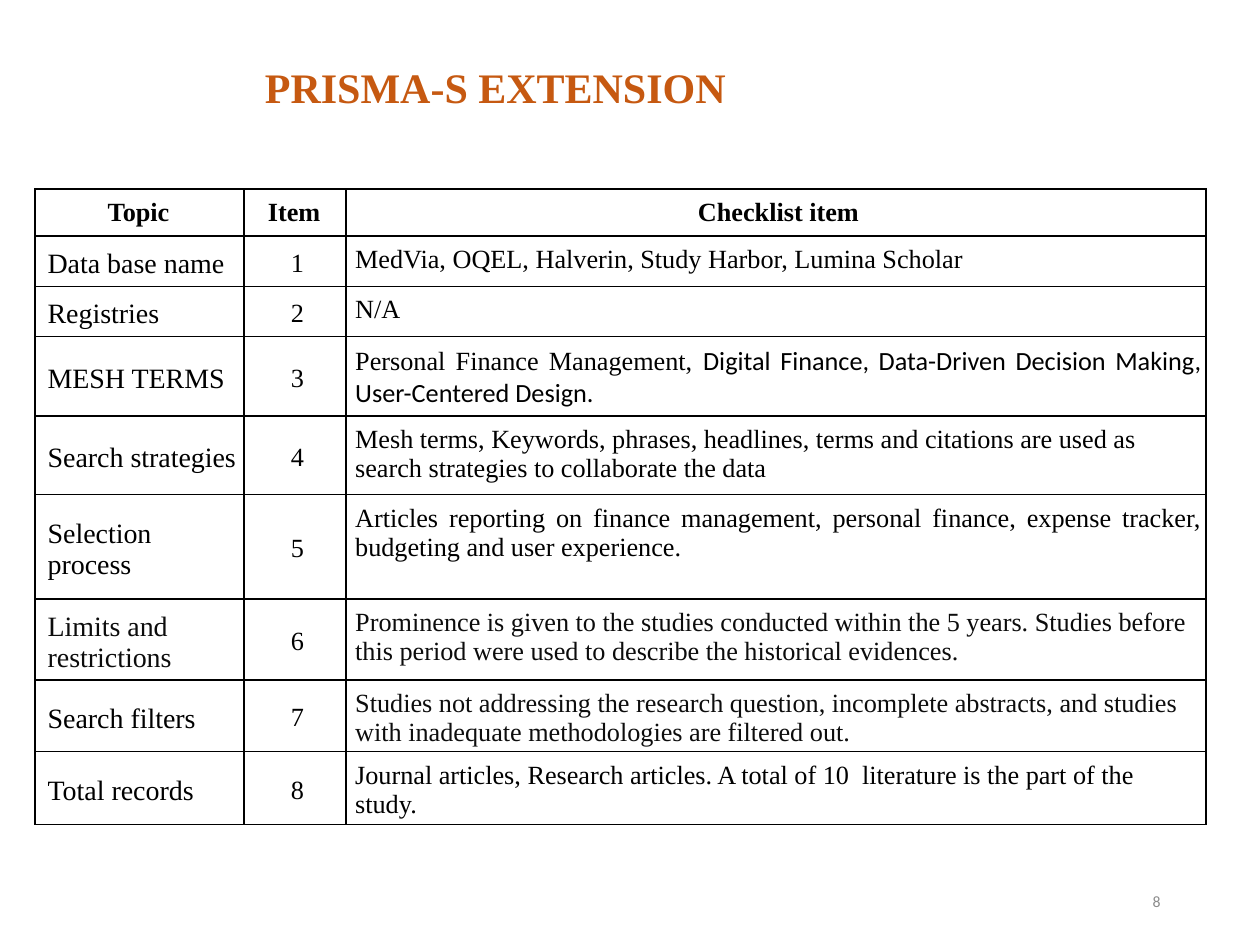
from dataclasses import dataclass

import lxml.etree
import pptx
import pptx.dml.color
import pptx.enum.text
import pptx.oxml.ns
import pptx.util

Pt = pptx.util.Pt
Align = pptx.enum.text.PP_ALIGN
Anchor = pptx.enum.text.MSO_ANCHOR
qn = pptx.oxml.ns.qn


@dataclass(frozen=True)
class Theme:
    serif: str = "Times New Roman"
    sans: str = "Calibri"
    title: str = "C65911"
    ink: str = "000000"
    soft: str = "0C0C0C"
    dim: str = "0D0D0D"
    gray: str = "8C8C8C"
    title_size: float = 24
    topic_size: float = 16
    text_size: float = 15
    page_size: float = 9
    rule: float = 1


THEME = Theme()


@dataclass(frozen=True)
class Look:
    size: float = THEME.text_size
    color: str = THEME.ink
    face: str = THEME.serif
    bold: bool = False
    align: Align = Align.LEFT


@dataclass(frozen=True)
class Row:
    height: float
    topic: str
    check: str
    tail: str = ""
    align: Align = Align.LEFT
    topic_ink: str = THEME.ink
    check_ink: str = THEME.ink
    space: float = 0


HEADS = ("Topic ", "Item ", "Checklist item")
HEAD_HEIGHT = 27
WIDTHS = (119.5, 58.3, 491.5)
WIDE, NARROW = (7.2, 3.6), (5.2, 2.6)
ROWS = (
    Row(28.5, "Data base name",
        "MedVia, OQEL, Halverin, Study Harbor, Lumina Scholar"),
    Row(28, "Registries", "N/A", space=6),
    Row(45.5, "MESH TERMS", "Personal Finance Management, ",
        "Digital Finance, Data-Driven Decision Making, User-Centered Design.",
        align=Align.JUSTIFY),
    Row(45, "Search strategies",
        "Mesh terms, Keywords, phrases, headlines, terms and citations are used "
        "as search strategies to collaborate the data"),
    Row(59.5, "Selection process",
        "Articles reporting on finance management, personal finance, expense "
        "tracker, budgeting and user experience.", align=Align.JUSTIFY),
    Row(46, "Limits and restrictions",
        "Prominence is given to the studies conducted within the 5 years. Studies "
        "before this period were used to describe the historical evidences.",
        topic_ink=THEME.soft, check_ink=THEME.soft),
    Row(41, "Search filters",
        "Studies not addressing the research question, incomplete abstracts, and "
        "studies with inadequate methodologies are filtered out.",
        check_ink=THEME.dim),
    Row(41.5, "Total records",
        "Journal articles, Research articles. A total of 10  literature is the "
        "part of the study."),
)


def write(frame, text: str, look: Look):
    para = frame.paragraphs[0]
    para.add_run().text = text
    para.alignment = look.align
    font = para.font
    font.name, font.size, font.bold = look.face, Pt(look.size), look.bold
    font.color.rgb = pptx.dml.color.RGBColor.from_string(look.color)
    return para


def rule_cell(cell) -> None:
    """Draw a solid line on all four sides of the cell."""
    props = cell._tc.get_or_add_tcPr()
    for side in ("a:lnL", "a:lnR", "a:lnT", "a:lnB"):
        line = lxml.etree.SubElement(props, qn(side), w=str(Pt(THEME.rule)))
        fill = lxml.etree.SubElement(line, qn("a:solidFill"))
        lxml.etree.SubElement(fill, qn("a:srgbClr"), val=THEME.ink)


def fill_cell(cell, text: str, look: Look, anchor: Anchor, inset=NARROW):
    """Fill a cell; the inset is larger at left and top than right and bottom."""
    rule_cell(cell)
    cell.fill.background()
    cell.margin_left = cell.margin_top = Pt(inset[0])
    cell.margin_right = cell.margin_bottom = Pt(inset[1])
    cell.vertical_anchor = anchor
    return write(cell.text_frame, text, look)


def add_title(slide) -> None:
    title = slide.shapes.title
    title.left, title.top = Pt(138.2), Pt(30)
    title.width, title.height = Pt(486), Pt(43.2)
    frame = title.text_frame
    frame.auto_size = pptx.enum.text.MSO_AUTO_SIZE.NONE
    frame.vertical_anchor = Anchor.MIDDLE
    look = Look(THEME.title_size, THEME.title, bold=True)
    write(frame, " PRISMA-S EXTENSION", look).line_spacing = 0.9


def add_checks(slide) -> None:
    heights = [HEAD_HEIGHT] + [row.height for row in ROWS]
    table = slide.shapes.add_table(
        len(heights), len(WIDTHS), Pt(20), Pt(108),
        Pt(sum(WIDTHS)), Pt(sum(heights))).table
    table.first_row = table.horz_banding = False
    for col, width in zip(table.columns, WIDTHS):
        col.width = Pt(width)
    for line, height in zip(table.rows, heights):
        line.height = Pt(height)

    for col, head in enumerate(HEADS):
        look = Look(bold=True, align=Align.CENTER)
        fill_cell(table.cell(0, col), head, look, Anchor.TOP)
    for num, row in enumerate(ROWS, 1):
        topic, item, check = table.rows[num].cells
        fill_cell(topic, row.topic, Look(THEME.topic_size, row.topic_ink),
                  Anchor.MIDDLE, WIDE)
        fill_cell(item, str(num), Look(align=Align.CENTER), Anchor.MIDDLE)
        para = fill_cell(check, row.check,
                         Look(color=row.check_ink, align=row.align), Anchor.TOP)
        if row.space:
            para.space_before = para.space_after = Pt(row.space)
        if row.tail:
            run = para.add_run()
            run.text, run.font.name = row.tail, THEME.sans


def add_page(slide) -> None:
    box = slide.shapes.add_textbox(Pt(508.3), Pt(500.4), Pt(162), Pt(28.8))
    frame = box.text_frame
    frame.word_wrap = True
    frame.vertical_anchor = Anchor.MIDDLE
    write(frame, "8", Look(THEME.page_size, THEME.gray, THEME.sans,
                           align=Align.RIGHT))


def main() -> None:
    deck = pptx.Presentation()
    deck.slide_width, deck.slide_height = Pt(720), Pt(540)
    slide = deck.slides.add_slide(deck.slide_layouts[5])
    add_title(slide)
    add_checks(slide)
    add_page(slide)
    deck.save("out.pptx")


if __name__ == "__main__":
    main()
